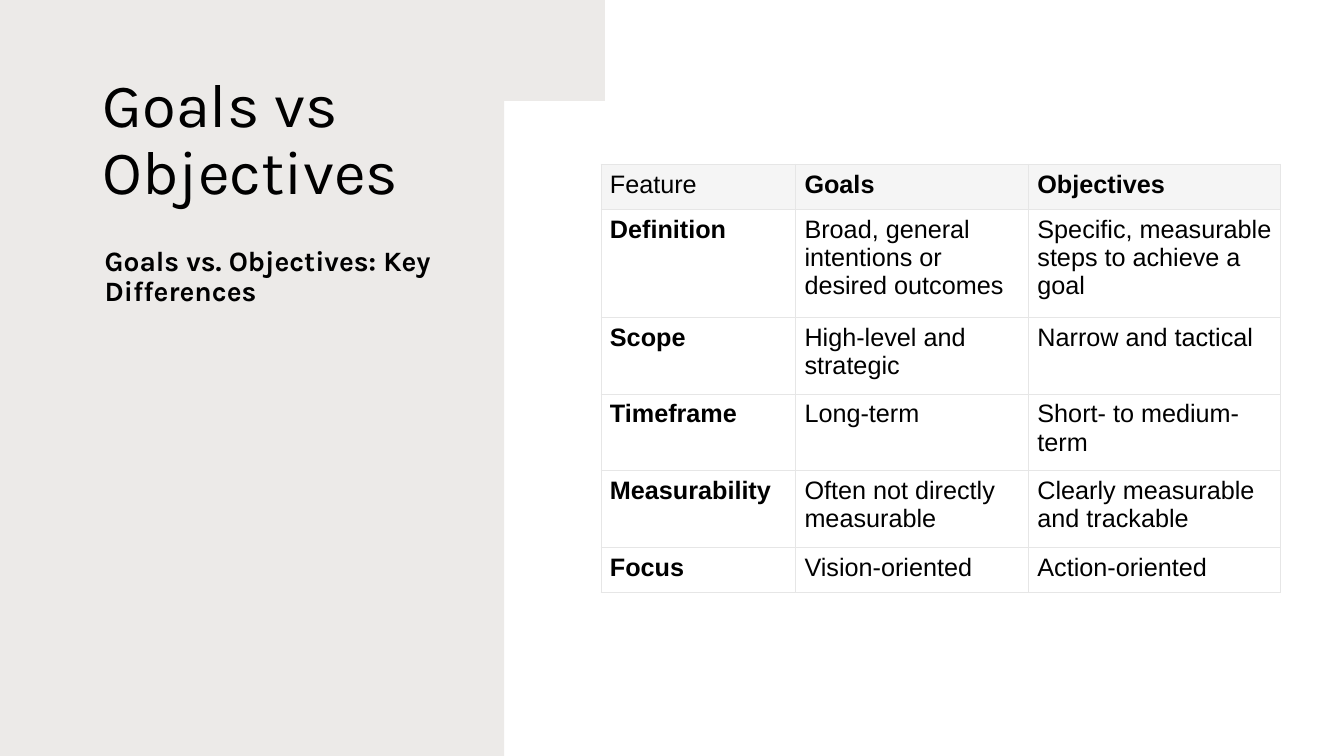
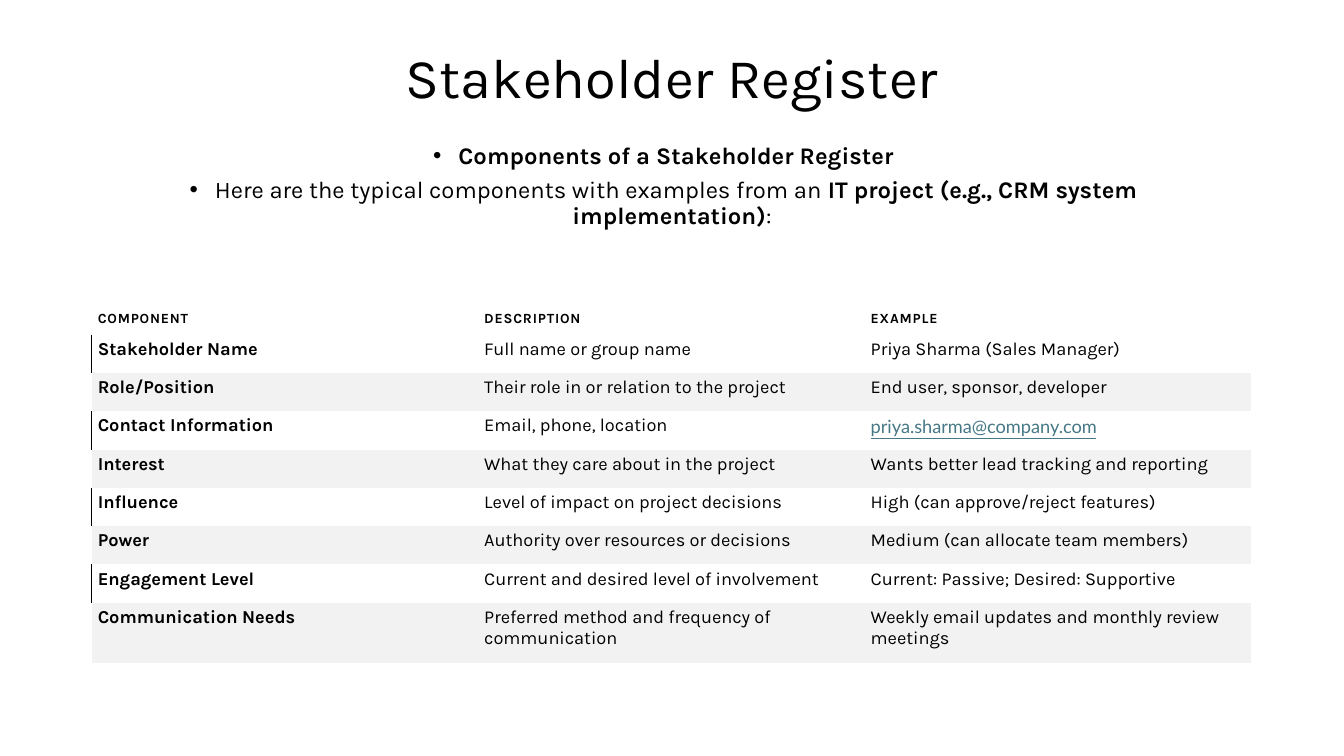
from lxml.etree import SubElement
from pptx import Presentation
from pptx.dml.color import RGBColor
from pptx.enum.text import MSO_ANCHOR, PP_ALIGN
from pptx.oxml.ns import qn
from pptx.util import Inches, Pt

COLORS = {
    "text": "000000", "paper": "82766A", "grid": "E6E6E6",
    "header": "F5F5F5", "band": "F2F2F2", "link": "467886",
}
BODY_FONT = "Karla"
TITLE = {"name": BODY_FONT, "size": Pt(44)}
SUBTITLE = {"name": BODY_FONT, "size": Pt(20), "bold": True}
BULLET = {"name": BODY_FONT, "size": Pt(17)}
GOAL_CELL = {"name": "Arial", "size": Pt(18)}
REGISTER_HEAD = {"name": BODY_FONT, "size": Pt(10), "bold": True}
REGISTER_CELL = {"name": BODY_FONT, "size": Pt(13)}
LINK = {"name": "Lato", "size": Pt(13), "underline": True}

TORN_EDGE = [
    (5.65, 0), (5.63, 0.02), (5.62, 0.14), (5.62, 0.39), (5.6, 0.52),
    (5.62, 0.58), (5.6, 0.66), (5.55, 0.75), (5.54, 0.79), (5.49, 0.89),
    (5.47, 0.97), (5.41, 1.08), (5.38, 1.16), (5.38, 1.27), (5.36, 1.32),
    (5.36, 1.42), (5.32, 1.54), (5.29, 1.6), (5.28, 1.69), (5.29, 1.73),
    (5.26, 1.88), (5.26, 2), (5.24, 2.04), (5.26, 2.08), (5.24, 2.15),
    (5.2, 2.21), (5.19, 2.31), (5.18, 2.47), (5.13, 2.55), (5.09, 2.63),
    (5.08, 2.73), (5.06, 2.88), (5.04, 2.97), (5.06, 3.09), (5.06, 3.26),
    (5.09, 3.35), (5.07, 3.39), (5.07, 3.48), (5.09, 3.56), (5.1, 3.64),
    (5.13, 3.73), (5.14, 3.86), (5.16, 3.9), (5.16, 4), (5.19, 4.13),
    (5.21, 4.24), (5.2, 4.43), (5.16, 4.61), (5.17, 4.82), (5.16, 4.96),
    (5.14, 5.06), (5.13, 5.18), (5.11, 5.3), (5.08, 5.39), (5.04, 5.48),
    (5.03, 5.59), (5.05, 5.7), (5.05, 5.76), (5.07, 5.98), (5.07, 6.12),
    (5.04, 6.31), (5.04, 6.46), (5.06, 6.53), (5.06, 6.81), (5.09, 6.97),
    (5.11, 7.15), (5.13, 7.33), (5.14, 7.48), (5.16, 7.5),
]

GOALS = [
    ("Feature", "Goals", "Objectives"),
    ("Definition", "Broad, general intentions or desired outcomes",
     "Specific, measurable steps to achieve a goal"),
    ("Scope", "High-level and strategic", "Narrow and tactical"),
    ("Timeframe", "Long-term", "Short- to medium-term"),
    ("Measurability", "Often not directly measurable",
     "Clearly measurable and trackable"),
    ("Focus", "Vision-oriented", "Action-oriented"),
]

REGISTER = [
    ("COMPONENT", "DESCRIPTION", "EXAMPLE"),
    ("Stakeholder Name", "Full name or group name",
     "Priya Sharma (Sales Manager)"),
    ("Role/Position", "Their role in or relation to the project",
     "End user, sponsor, developer"),
    ("Contact Information", "Email, phone, location",
     "priya.sharma@company.com"),
    ("Interest", "What they care about in the project",
     "Wants better lead tracking and reporting"),
    ("Influence", "Level of impact on project decisions",
     "High (can approve/reject features)"),
    ("Power", "Authority over resources or decisions",
     "Medium (can allocate team members)"),
    ("Engagement Level", "Current and desired level of involvement",
     "Current: Passive; Desired: Supportive"),
    ("Communication Needs", "Preferred method and frequency of communication",
     "Weekly email updates and monthly review meetings"),
]


def rgb(key):
    """Return the named colour."""
    return RGBColor.from_string(COLORS[key])


def set_attrs(obj, values):
    """Set each attribute in values on obj."""
    for name, value in values.items():
        setattr(obj, name, value)


def add_run(p, text, font, color="text", spacing=0):
    """Append formatted text to a paragraph."""
    r = p.add_run()
    r.text = text
    set_attrs(r.font, font)
    r.font.color.rgb = rgb(color)
    if spacing:
        r._r.get_or_add_rPr().set("spc", str(spacing))


def add_bullet(p):
    """Give a paragraph a hanging bullet."""
    pPr = p._p.get_or_add_pPr()
    pPr.set("marL", "0")
    pPr.set("indent", str(-Inches(0.25)))
    SubElement(pPr, qn("a:buFont")).set("typeface", "Arial")
    SubElement(pPr, qn("a:buChar")).set("char", "•")


def add_text(s, box, paragraphs, align=PP_ALIGN.LEFT, after=0, bullets=False,
             **frame):
    """Add a text box of paragraphs, each a list of (text, font) runs."""
    tf = s.shapes.add_textbox(*map(Inches, box)).text_frame
    set_attrs(tf, {"word_wrap": True, **frame})
    for i, runs in enumerate(paragraphs):
        p = tf.paragraphs[0] if i == 0 else tf.add_paragraph()
        set_attrs(p, {"alignment": align, "line_spacing": 0.9,
                      "space_after": Pt(after)})
        if bullets:
            add_bullet(p)
        for text, font in runs:
            add_run(p, text, font)


def add_title(s, box, text, **font):
    """Add a slide title."""
    align = font.pop("align", PP_ALIGN.LEFT)
    add_text(s, box, [[(text, {**TITLE, **font})]], align,
             vertical_anchor=MSO_ANCHOR.MIDDLE)


def add_torn_paper(s):
    """Draw the translucent left panel with a torn edge."""
    builder = s.shapes.build_freeform(0, 0, scale=Inches(1))
    builder.add_line_segments(TORN_EDGE + [(0, 7.5)], close=True)
    sp = builder.convert_to_shape()
    sp.shadow.inherit = False
    sp.fill.solid()
    sp.fill.fore_color.rgb = rgb("paper")
    sp.line.fill.background()
    tint = sp._element.spPr.find(qn("a:solidFill"))[0]
    SubElement(tint, qn("a:alpha")).set("val", "15000")


def set_borders(cell, borders):
    """Draw the given sides as (colour, points) and clear the others."""
    tcPr = cell._tc.get_or_add_tcPr()
    for side in "LRTB":
        color, width = borders.get(side, (None, 0))
        ln = SubElement(tcPr, qn(f"a:ln{side}"))
        ln.set("w", str(Pt(width)))
        if color:
            fill = SubElement(ln, qn("a:solidFill"))
            SubElement(fill, qn("a:srgbClr")).set("val", COLORS[color])
        else:
            SubElement(ln, qn("a:noFill"))


def add_table(s, left, top, widths, heights):
    """Add an unstyled table with the given column widths and row heights."""
    shape = s.shapes.add_table(
        len(heights), len(widths), Inches(left), Inches(top),
        Inches(sum(widths)), Inches(sum(heights)))
    table = shape.table
    set_attrs(table, {"first_row": False, "horz_banding": False})
    for column, width in zip(table.columns, widths):
        column.width = Inches(width)
    for row, height in zip(table.rows, heights):
        row.height = Inches(height)
    return table


def fill_cell(cell, text, font, margins, borders, fill=None, color="text",
              spacing=0, anchor=MSO_ANCHOR.TOP):
    """Write and format one table cell."""
    sides = ("margin_left", "margin_top", "margin_right", "margin_bottom")
    set_attrs(cell, dict(zip(sides, map(Inches, margins))))
    cell.vertical_anchor = anchor
    set_borders(cell, borders)
    if fill:
        cell.fill.solid()
        cell.fill.fore_color.rgb = rgb(fill)
    else:
        cell.fill.background()
    add_run(cell.text_frame.paragraphs[0], text, font, color, spacing)


def goals_slide(s):
    """Build the comparison of goals and objectives."""
    add_torn_paper(s)
    add_title(s, (0.92, 0.67, 4.09, 1.46), "Goals vs Objectives")
    add_text(s, (0.94, 2.4, 3.75, 4.27),
             [[("Goals vs. Objectives: Key Differences", SUBTITLE)]], after=6)
    table = add_table(s, 5.96, 1.63, [1.93, 2.31, 2.5],
                      [0.45, 1.07, 0.76, 0.76, 0.76, 0.45])
    borders = {side: ("grid", 0.5) for side in "LRTB"}
    for i, row in enumerate(GOALS):
        for j, text in enumerate(row):
            font = {**GOAL_CELL, "bold": (i == 0) != (j == 0)}
            fill_cell(table.cell(i, j), text, font, (0.09, 0.06, 0.06, 0.05),
                      borders, fill=None if i else "header")


def register_slide(s):
    """Build the stakeholder register."""
    add_title(s, (1.1, 0.19, 11.13, 1.22), "Stakeholder Register",
              size=Pt(40), align=PP_ALIGN.CENTER)
    bold = {**BULLET, "bold": True}
    add_text(s, (1.1, 1.6, 11.13, 0.84), [
        [("Components of a Stakeholder Register", bold)],
        [("Here are the typical components with examples from an ", BULLET),
         ("IT project (e.g., CRM system implementation)", bold),
         (":", BULLET)],
    ], PP_ALIGN.CENTER, after=6, bullets=True,
        vertical_anchor=MSO_ANCHOR.MIDDLE, margin_bottom=Inches(0.38))
    table = add_table(s, 0.91, 2.96, [11.5 / 3] * 3,
                      [0.36] + [0.38] * 7 + [0.6])
    for i, row in enumerate(REGISTER):
        banded = i > 0 and i % 2 == 0
        for j, text in enumerate(row):
            cell = table.cell(i, j)
            if i == 0:
                fill_cell(cell, text, REGISTER_HEAD, (0.06, 0.08, 0.04, 0.08),
                          {}, spacing=60, anchor=MSO_ANCHOR.BOTTOM)
                continue
            is_link = "@" in text
            font = LINK if is_link else {**REGISTER_CELL, "bold": j == 0}
            marked = j == 0 and not banded
            fill_cell(cell, text, font, (0.06, 0.04, 0.04, 0.08),
                      {"L": ("text", 1)} if marked else {},
                      fill="band" if banded else None,
                      color="link" if is_link else "text")


def main():
    """Build and save the presentation."""
    prs = Presentation()
    set_attrs(prs, {"slide_width": Inches(13.33), "slide_height": Inches(7.5)})
    for build in (goals_slide, register_slide):
        build(prs.slides.add_slide(prs.slide_layouts[6]))
    prs.save("out.pptx")


if __name__ == "__main__":
    main()
